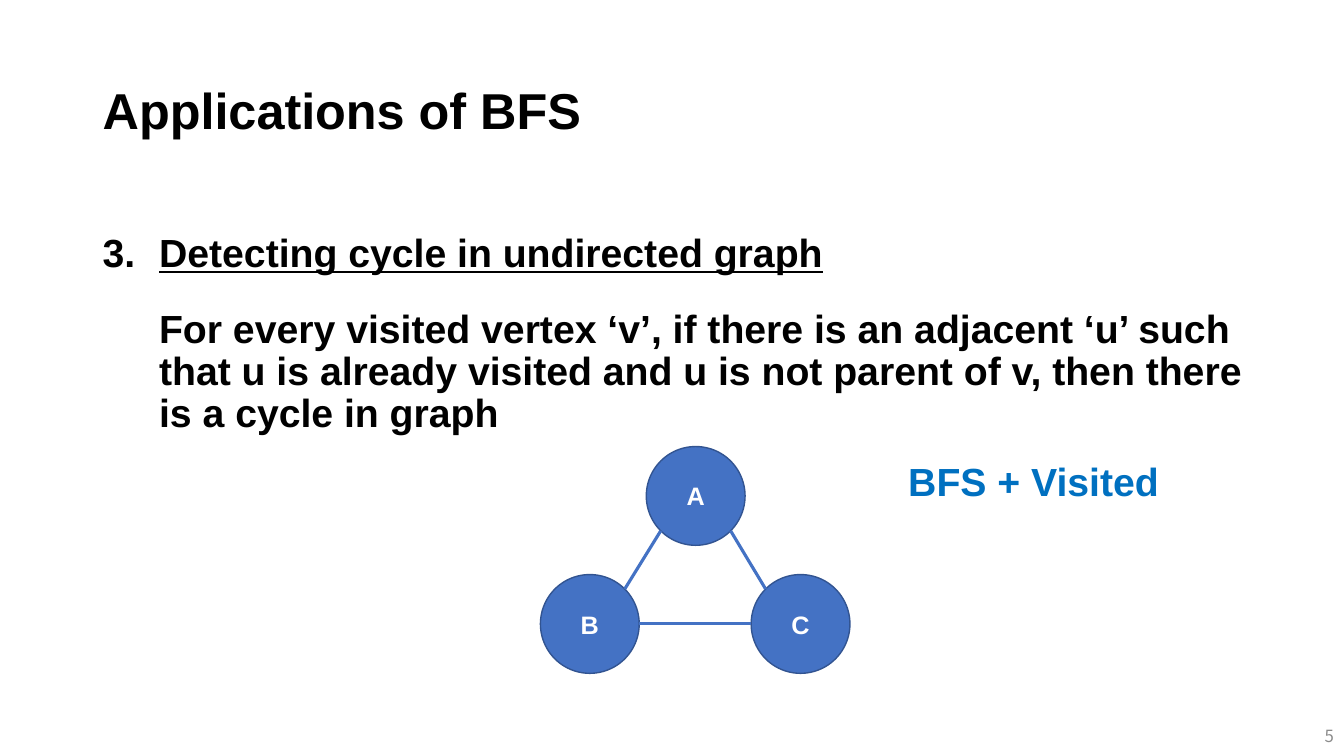
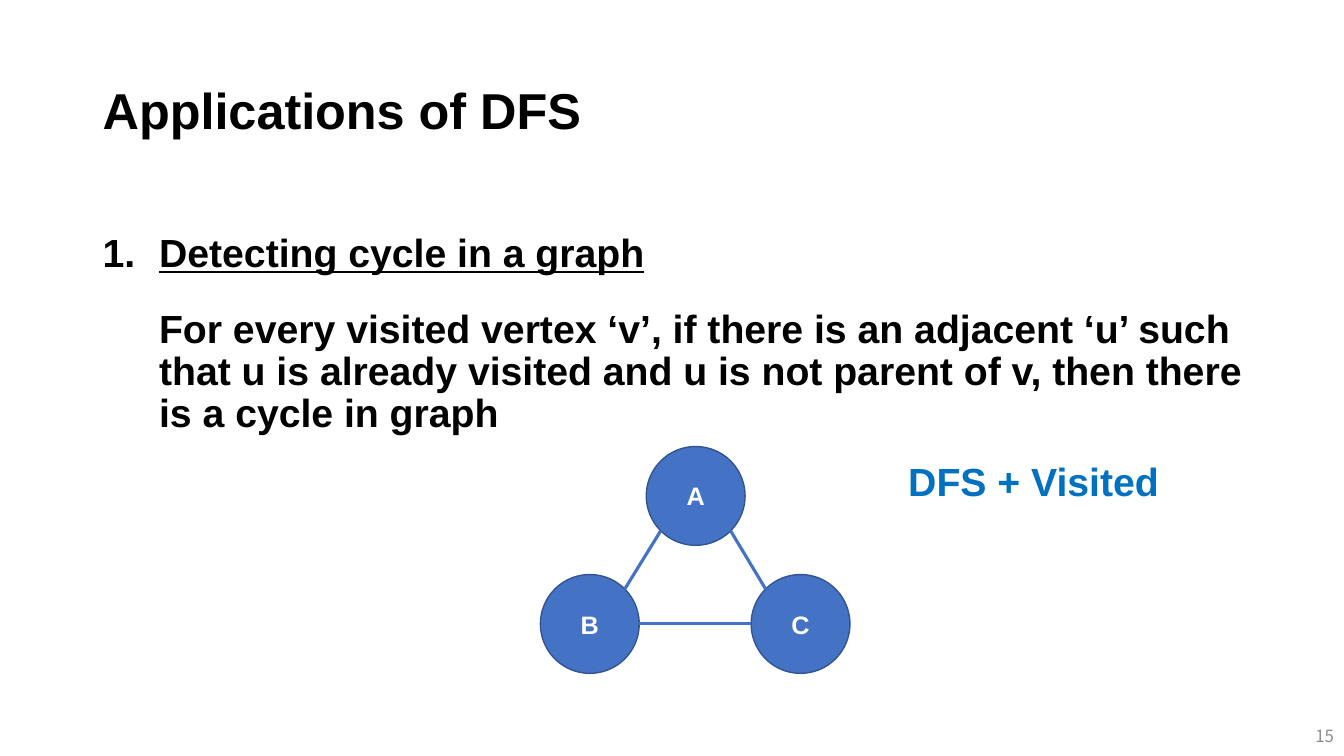
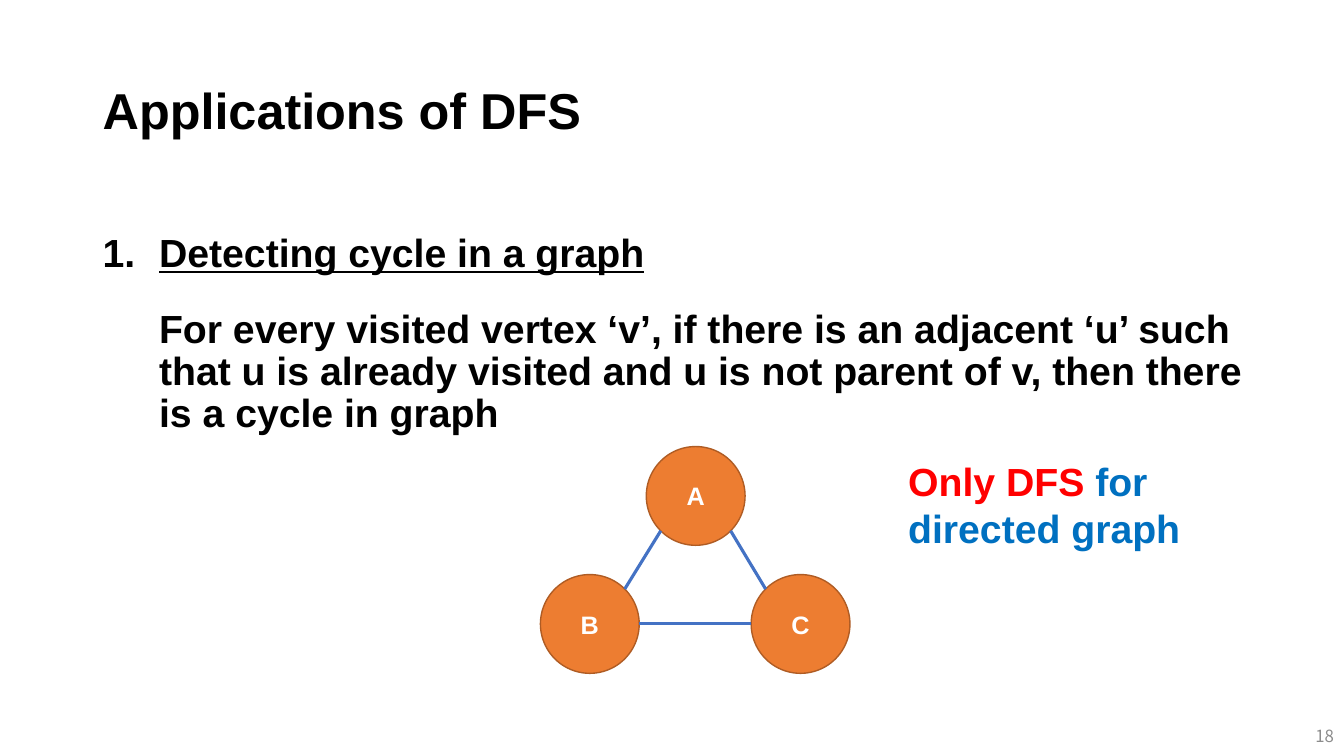
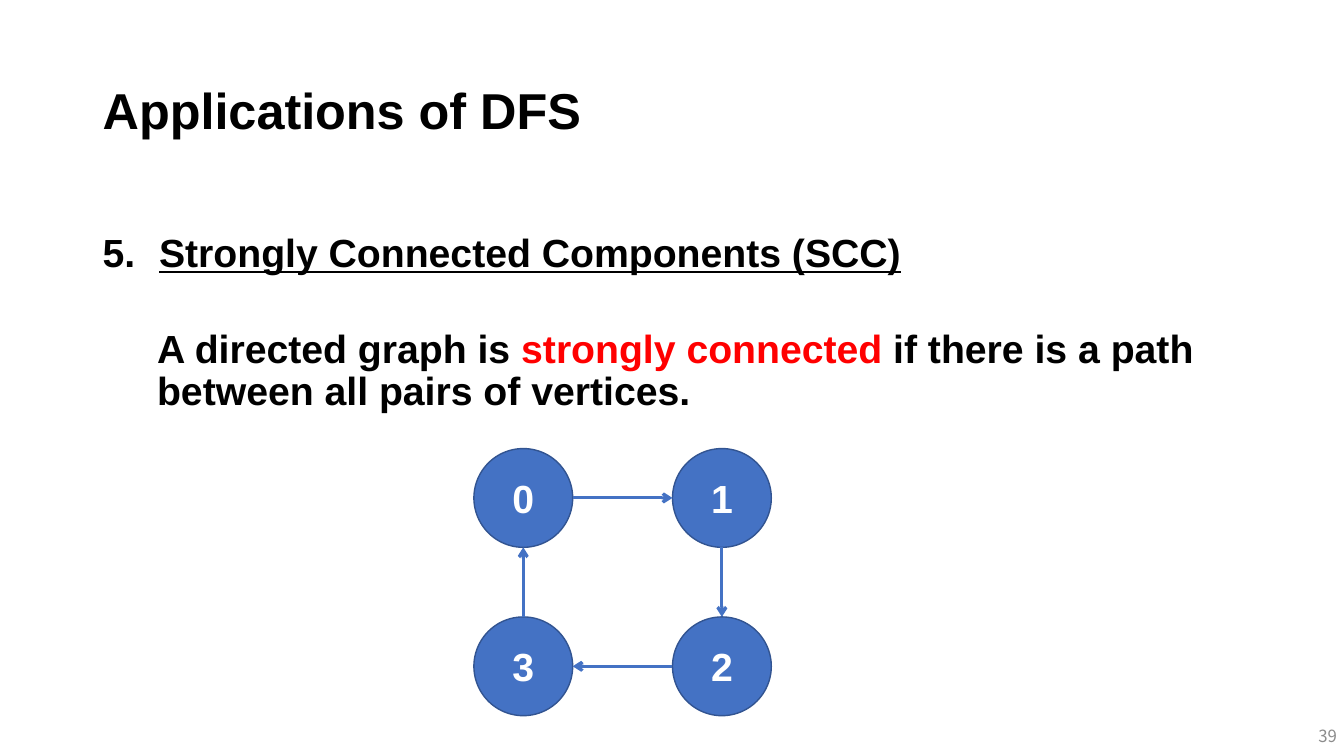
"""Four slides on applications of BFS and DFS, each with a small graph."""
from dataclasses import dataclass
from math import cos, radians, sin

from lxml.etree import SubElement
from pptx import Presentation
from pptx.dml.color import RGBColor
from pptx.enum.shapes import MSO_CONNECTOR, MSO_SHAPE
from pptx.enum.text import MSO_ANCHOR as ANCHOR, PP_ALIGN as ALIGN
from pptx.oxml.ns import qn
from pptx.util import Inches, Pt


@dataclass(frozen=True)
class Theme:
    font: str = "Arial"
    page_font: str = "Noto Sans CJK KR"
    black: str = "000000"
    white: str = "FFFFFF"
    grey: str = "8C8C8C"
    red: str = "FF0000"
    note: str = "0070C0"
    edge: str = "4472C4"
    blue: tuple = ("4472C4", "325491")
    orange: tuple = ("ED7D31", "AF5C24")
    title: int = 36
    body: int = 28
    label: int = 18
    page: int = 12
    edge_width: float = 2.25


T = Theme()
DIAMETER = 0.98
INDENT = 0.56
SITES = {name: i for i, name in enumerate(
    ("top", "top left", "left", "bottom left",
     "bottom", "bottom right", "right", "top right"))}

CYCLE_BODY = {
    "at": (1.48, 3.02, 10.94, 1.69),
    "runs": [("For every visited vertex ‘v’, if there is an adjacent ‘u’ such that u is "
              "already visited and u is not parent of v, then there is a cycle in graph",
              T.black)],
}
SCC_BODY = {
    "at": (1.46, 3.22, 10.49, 2.69),
    "runs": [("A directed graph is ", T.black), ("strongly connected", T.red),
             (" if there is a path between all pairs of vertices.", T.black)],
}
TRIANGLE = {
    "nodes": {"A": (6.41, 4.43), "B": (5.36, 5.7), "C": (7.45, 5.7)},
    "edges": [("B", "right", "C", "left"),
              ("B", "top right", "A", "bottom left"),
              ("C", "top left", "A", "bottom right")],
    "size": T.label, "inset": 0, "directed": False,
}
SQUARE = {
    "nodes": {"0": (4.7, 4.45), "1": (6.67, 4.45), "2": (6.67, 6.12), "3": (4.7, 6.12)},
    "edges": [("0", "right", "1", "left"), ("1", "bottom", "2", "top"),
              ("2", "left", "3", "right"), ("3", "top", "0", "bottom")],
    "size": T.body, "inset": 0.1, "directed": True,
}
SLIDES = [
    {"title": "Applications of BFS", "page": ("5", 10.33), "number": 3,
     "heading": "Detecting cycle in undirected graph", "body": CYCLE_BODY,
     "graph": TRIANGLE, "colours": T.blue,
     "note": [[("BFS + Visited", T.note)]]},
    {"title": "Applications of DFS", "page": ("15", 10.33), "number": 1,
     "heading": "Detecting cycle in a graph", "body": CYCLE_BODY,
     "graph": TRIANGLE, "colours": T.blue,
     "note": [[("DFS + Visited", T.note)]]},
    {"title": "Applications of DFS", "page": ("18", 10.33), "number": 1,
     "heading": "Detecting cycle in a graph", "body": CYCLE_BODY,
     "graph": TRIANGLE, "colours": T.orange,
     "note": [[("Only DFS ", T.red), ("for", T.note)], [("directed graph", T.note)]]},
    {"title": "Applications of DFS", "page": ("39", 10.36), "number": 5,
     "heading": "Strongly Connected Components (SCC)", "body": SCC_BODY,
     "graph": SQUARE, "colours": T.blue, "note": []},
]


def rgb(colour):
    return RGBColor.from_string(colour)


def write(tf, paragraphs, size, font=T.font, bold=True, align=ALIGN.LEFT, spacing=None):
    for i, runs in enumerate(paragraphs):
        p = tf.add_paragraph() if i else tf.paragraphs[0]
        p.alignment = align
        p.line_spacing = spacing
        for text, colour in runs:
            r = p.add_run()
            r.text = text
            r.font.name, r.font.size, r.font.bold = font, Pt(size), bold
            r.font.color.rgb = rgb(colour)


def add_text(s, at, paragraphs, size, anchor=ANCHOR.TOP, **style):
    tf = s.shapes.add_textbox(*map(Inches, at)).text_frame
    tf.word_wrap = True
    tf.vertical_anchor = anchor
    write(tf, paragraphs, size, **style)
    return tf


def add_heading(s, number, text):
    tf = add_text(s, (0.92, 2.27, 11.5, 0.53), [[(text, T.black)]], T.body, spacing=0.9)
    p = tf.paragraphs[0]
    p.runs[0].font.underline = True
    pPr = p._p.get_or_add_pPr()
    pPr.set("marL", str(Inches(INDENT)))
    pPr.set("indent", str(-Inches(INDENT)))
    SubElement(pPr, qn("a:buFont"), typeface=T.font)
    SubElement(pPr, qn("a:buAutoNum"), type="arabicPeriod", startAt=str(number))


def add_node(s, name, left, top, graph, colours):
    sp = s.shapes.add_shape(MSO_SHAPE.OVAL, *map(Inches, (left, top, DIAMETER, DIAMETER)))
    sp.shadow.inherit = False
    fill, line = colours
    sp.fill.solid()
    sp.fill.fore_color.rgb = rgb(fill)
    sp.line.color.rgb = rgb(line)
    sp.line.width = Pt(1)
    tf = sp.text_frame
    tf.vertical_anchor = ANCHOR.MIDDLE
    tf.margin_left = tf.margin_right = Inches(graph["inset"])
    write(tf, [[(name, T.white)]], graph["size"], align=ALIGN.CENTER)
    return sp


def site_point(node, site):
    angle, radius = radians(90 + 45 * SITES[site]), node.width / 2
    return (round(node.left + radius * (1 + cos(angle))),
            round(node.top + radius * (1 - sin(angle))))


def add_edge(s, start, start_site, end, end_site, directed):
    c = s.shapes.add_connector(MSO_CONNECTOR.STRAIGHT, *site_point(start, start_site),
                               *site_point(end, end_site))
    c.line.color.rgb = rgb(T.edge)
    c.line.width = Pt(T.edge_width)
    if directed:
        SubElement(c.line._get_or_add_ln(), qn("a:tailEnd"), type="arrow")
    SubElement(c._element.spPr, qn("a:effectLst"))
    glue = c._element.nvCxnSpPr.cNvCxnSpPr
    for tag, node, site in (("a:stCxn", start, start_site), ("a:endCxn", end, end_site)):
        SubElement(glue, qn(tag), id=str(node.shape_id), idx=str(SITES[site]))


def add_graph(s, graph, colours):
    nodes = {name: add_node(s, name, *at, graph, colours)
             for name, at in graph["nodes"].items()}
    for start, start_site, end, end_site in graph["edges"]:
        add_edge(s, nodes[start], start_site, nodes[end], end_site, graph["directed"])


def build_slide(prs, data):
    s = prs.slides.add_slide(prs.slide_layouts[6])
    add_text(s, (0.92, 0.4, 11.5, 1.45), [[(data["title"], T.black)]], T.title,
             ANCHOR.MIDDLE, spacing=0.9)
    page, left = data["page"]
    add_text(s, (left, 7.1, 3, 0.4), [[(page, T.grey)]], T.page, ANCHOR.MIDDLE,
             font=T.page_font, bold=False, align=ALIGN.RIGHT)
    add_heading(s, data["number"], data["heading"])
    add_text(s, data["body"]["at"], [data["body"]["runs"]], T.body, spacing=0.9)
    add_graph(s, data["graph"], data["colours"])
    if data["note"]:
        add_text(s, (8.91, 4.49, 3, 0.1 + 0.47 * len(data["note"])), data["note"], T.body)


def main():
    prs = Presentation()
    prs.slide_width, prs.slide_height = Inches(13.33), Inches(7.5)
    for data in SLIDES:
        build_slide(prs, data)
    prs.save("out.pptx")


if __name__ == "__main__":
    main()
